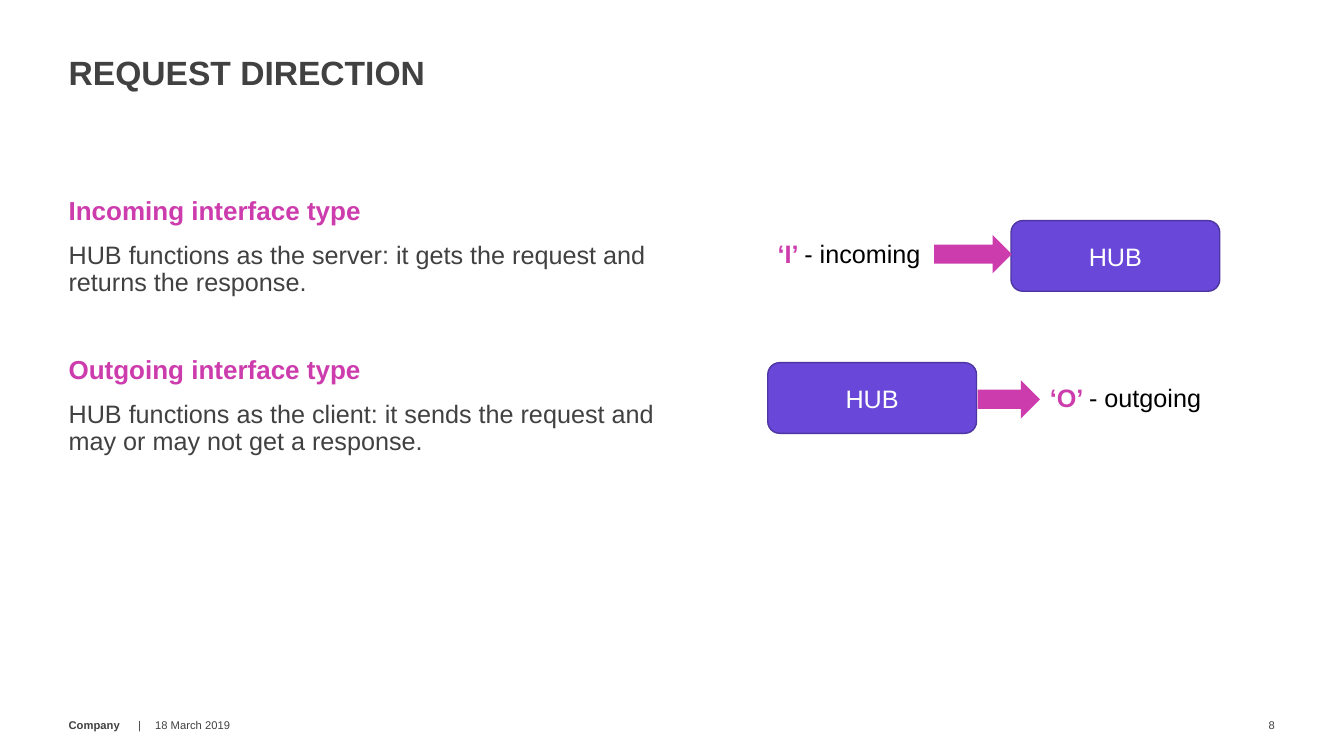
from dataclasses import dataclass

from lxml import etree
from pptx import Presentation
from pptx.dml.color import RGBColor
from pptx.enum.shapes import MSO_SHAPE
from pptx.enum.text import MSO_ANCHOR, MSO_AUTO_SIZE, PP_ALIGN
from pptx.oxml.ns import qn
from pptx.util import Cm, Pt

ROUND_RECT, RIGHT_ARROW = MSO_SHAPE.ROUNDED_RECTANGLE, MSO_SHAPE.RIGHT_ARROW
TOP, MIDDLE, BOTTOM = MSO_ANCHOR.TOP, MSO_ANCHOR.MIDDLE, MSO_ANCHOR.BOTTOM
LEFT, CENTER, RIGHT = PP_ALIGN.LEFT, PP_ALIGN.CENTER, PP_ALIGN.RIGHT
NO_RESIZE, FIT_SHAPE = MSO_AUTO_SIZE.NONE, MSO_AUTO_SIZE.SHAPE_TO_FIT_TEXT


@dataclass(frozen=True)
class Theme:
    """Colours, font and type sizes of the slide."""
    font: str = "Arial"
    ink: str = "414141"
    black: str = "000000"
    white: str = "FFFFFF"
    accent: str = "CD3CAD"
    box: str = "6948D9"
    box_line: str = "4E35A1"
    title: float = 24
    heading: float = 18.6
    body: float = 18
    footer: float = 8


def apply(target, values):
    """Set each named attribute of the target."""
    for name, value in values.items():
        setattr(target, name, value)


class Deck:
    """Draws styled elements on the current slide."""

    def __init__(self, prs, theme):
        """Add a blank slide to draw on."""
        self.theme = theme
        self.s = prs.slides.add_slide(prs.slide_layouts[6])

    def run(self, p, text, size, color, bold=False):
        """Append a formatted run to a paragraph."""
        r = p.add_run()
        r.text = text
        apply(r.font, {"name": self.theme.font, "size": Pt(size), "bold": bold})
        r.font.color.rgb = RGBColor.from_string(color)

    def text(self, at, paragraphs, anchor=TOP, inset=0, wrap=True, tab=None, **fmt):
        """Add a text box from a list of paragraphs, each a list of runs."""
        tf = self.s.shapes.add_textbox(*map(Cm, at)).text_frame
        margins = ("margin_left", "margin_top", "margin_right", "margin_bottom")
        if inset is not None:
            apply(tf, dict.fromkeys(margins, Cm(inset)))
        apply(tf, {"word_wrap": wrap, "vertical_anchor": anchor,
                   "auto_size": NO_RESIZE if wrap else FIT_SHAPE})
        for i, runs in enumerate(paragraphs):
            p = tf.add_paragraph() if i else tf.paragraphs[0]
            apply(p, fmt)
            for args in runs:
                self.run(p, *args)
            if tab:
                tabs = etree.SubElement(p._p.get_or_add_pPr(), qn("a:tabLst"))
                etree.SubElement(tabs, qn("a:tab"), pos=str(Cm(tab)), algn="l")
        return tf

    def shape(self, kind, at, fill, line=None):
        """Add a flat preset shape."""
        sp = self.s.shapes.add_shape(kind, *map(Cm, at))
        sp.shadow.inherit = False
        sp.fill.solid()
        sp.fill.fore_color.rgb = RGBColor.from_string(fill)
        if line:
            sp.line.color.rgb = RGBColor.from_string(line)
            sp.line.width = Pt(1)
        else:
            sp.line.fill.background()
        return sp

    def system(self, x, y, name):
        """Add a rounded system box with a centred name."""
        t = self.theme
        tf = self.shape(ROUND_RECT, (x, y, 5.26, 1.78), t.box, t.box_line).text_frame
        tf.vertical_anchor = MIDDLE
        p = tf.paragraphs[0]
        p.alignment = CENTER
        self.run(p, name, t.body, t.white)

    def arrow(self, x, y, width):
        """Add a block arrow pointing right."""
        self.shape(RIGHT_ARROW, (x, y, width, 0.97), self.theme.accent)

    def label(self, x, y, width, code, meaning):
        """Add a direction code followed by its meaning."""
        t = self.theme
        runs = [(code, t.body, t.accent, True), (meaning, t.body, t.black)]
        self.text((x, y, width, 1.03), [runs], inset=None, wrap=False)

    def footer(self, x, width, runs, align=LEFT, tab=None):
        """Add a footer field."""
        t = self.theme
        styled = [(text, t.footer, t.ink, bold) for text, bold in runs]
        self.text((x, 17.75, width, 1.02), [styled], MIDDLE, tab=tab, alignment=align)


def main():
    """Build the slide and save it."""
    prs = Presentation()
    apply(prs, {"slide_width": Cm(33.87), "slide_height": Cm(19.05)})
    t = Theme()
    deck = Deck(prs, t)

    deck.text((1.73, 0.48, 26.92, 1.85),
              [[("REQUEST DIRECTION", t.title, t.ink, True)]],
              BOTTOM, line_spacing=0.8)

    sections = [
        ("Incoming interface type",
         "HUB functions as the server: it gets the request and returns the response."),
        ("Outgoing interface type",
         "HUB functions as the client: it sends the request and "
         "may or may not get a response."),
    ]
    paragraphs = []
    for heading, body in sections:
        paragraphs += [[(heading, t.heading, t.accent, True)], [(body, t.body, t.ink)]]
    tf = deck.text((1.73, 4.98, 14.91, 12.67), paragraphs,
                   line_spacing=0.9, space_before=Pt(12))
    tf.paragraphs[2].space_before = Pt(42.6)

    deck.system(25.48, 5.56, "HUB")
    deck.arrow(23.54, 5.92, 1.96)
    deck.label(19.35, 5.87, 4.19, "‘I’ ", "- incoming")

    deck.system(19.35, 9.14, "HUB")
    deck.arrow(24.64, 9.58, 1.57)
    deck.label(26.21, 9.5, 4.39, "‘O’ ", "- outgoing")

    deck.footer(1.73, 2.26, [("Company", True), ("\t|", False)], tab=1.75)
    deck.footer(3.91, 3.89, [("18 March 2019", False)])
    deck.footer(30.76, 1.37, [("8", False)], RIGHT)

    prs.save("out.pptx")


if __name__ == "__main__":
    main()
